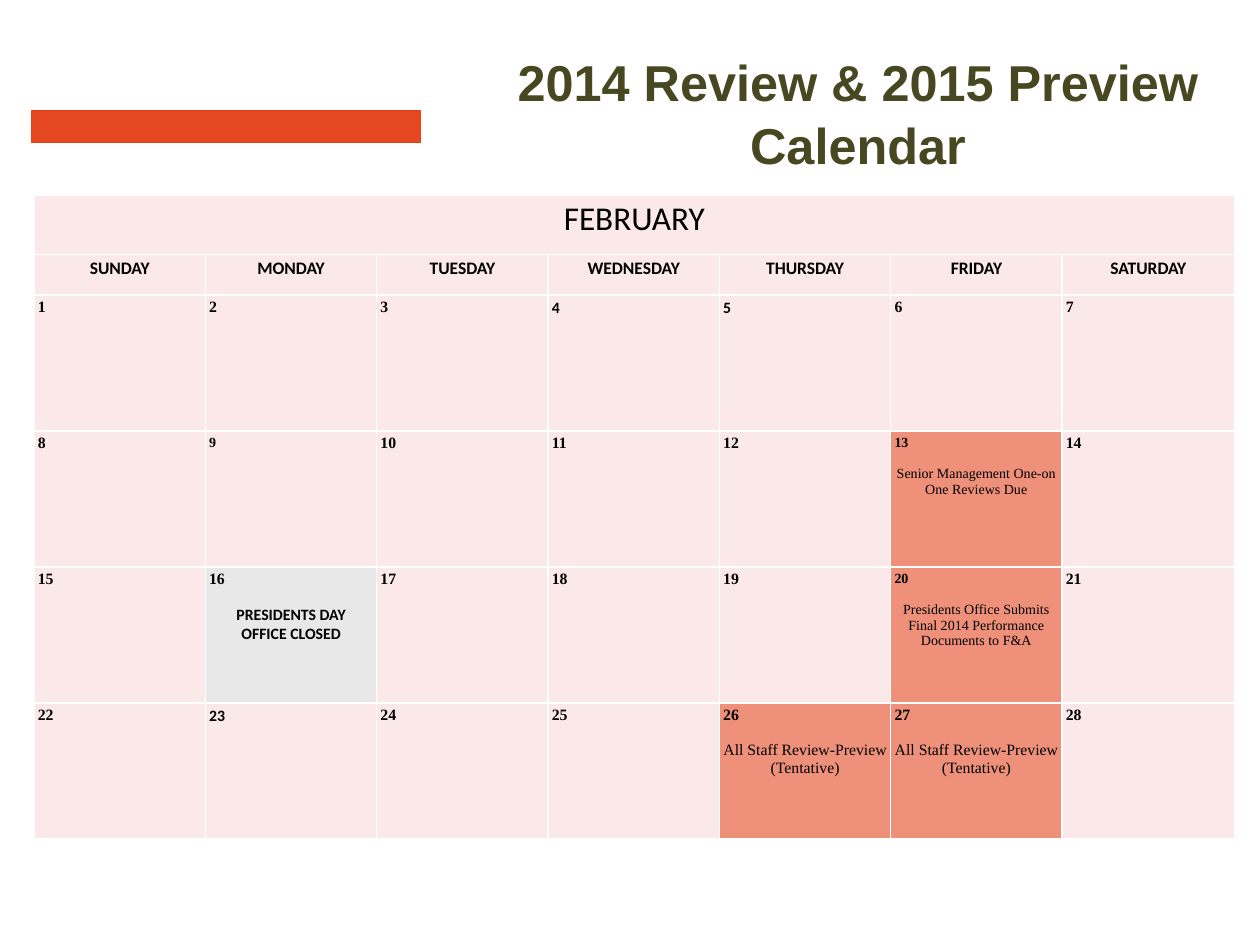
from lxml.etree import SubElement
from pptx import Presentation
from pptx.dml.color import RGBColor
from pptx.enum.shapes import MSO_SHAPE
from pptx.enum.text import MSO_ANCHOR, PP_ALIGN
from pptx.oxml.ns import qn
from pptx.util import Inches, Pt

ORANGE = RGBColor(0xE5, 0x47, 0x21)
ORANGE_EDGE = RGBColor(0xE5, 0x43, 0x1B)
OLIVE = RGBColor(0x47, 0x48, 0x22)
BLACK = RGBColor(0, 0, 0)
WHITE = RGBColor(0xFF, 0xFF, 0xFF)
PINK = RGBColor(0xFA, 0xE9, 0xE8)
SALMON = RGBColor(0xEF, 0x91, 0x7A)
GREY = RGBColor(0xE8, 0xE8, 0xE8)

SERIF, SANS = "Times New Roman", "Calibri"
WEEKDAYS = ["SUNDAY", "MONDAY", "TUESDAY", "WEDNESDAY", "THURSDAY", "FRIDAY", "SATURDAY"]
SANS_DAYS = {4, 5, 23}
SMALL_DAYS = {9, 13, 20}
STAFF_REVIEW = ["All Staff Review-Preview", "(Tentative)"]
EVENTS = {
    13: ["Senior Management One-on One Reviews Due"],
    16: ["PRESIDENTS DAY", "OFFICE CLOSED"],
    20: ["Presidents Office Submits Final 2014 Performance Documents to F&A"],
    26: STAFF_REVIEW,
    27: STAFF_REVIEW,
}
HOLIDAYS = {16}


def write(frame, text, size, font=SERIF, color=BLACK, bold=False,
          align=PP_ALIGN.CENTER, before=0, spacing=None, first=True):
    """Write one formatted paragraph into a text frame."""
    para = frame.paragraphs[0] if first else frame.add_paragraph()
    para.alignment = align
    if before:
        para.space_before = Pt(before)
    if spacing:
        para.line_spacing = spacing
    span = para.add_run()
    span.text = text
    span.font.name, span.font.size, span.font.bold = font, Pt(size), bold
    span.font.color.rgb = color


class CalendarPage:
    """Hold the calendar style and the page being built."""

    def __init__(self, page, margin=0.03, border=1):
        self.page = page
        self.margin = Inches(margin)
        self.border = Pt(border)

    def bar(self, left, top, width, height):
        """Add the accent bar."""
        box = self.page.shapes.add_shape(
            MSO_SHAPE.RECTANGLE, Inches(left), Inches(top), Inches(width), Inches(height))
        box.shadow.inherit = False
        box.fill.solid()
        box.fill.fore_color.rgb = ORANGE
        box.line.color.rgb = ORANGE_EDGE
        box.line.width = Pt(0.75)

    def title(self, text, left, top, width, height):
        """Add the page title."""
        box = self.page.shapes.add_textbox(
            Inches(left), Inches(top), Inches(width), Inches(height))
        frame = box.text_frame
        frame.word_wrap = True
        frame.margin_top = Inches(0.07)
        frame.vertical_anchor = MSO_ANCHOR.TOP
        write(frame, text, 28.8, font="Arial", color=OLIVE, bold=True, spacing=1.05)

    def style_cell(self, cell, fill=PINK):
        """Give a cell its margins, borders and fill."""
        cell.margin_left = cell.margin_right = self.margin
        cell.margin_top = cell.margin_bottom = self.margin
        properties = cell._tc.get_or_add_tcPr()
        for side in ("a:lnL", "a:lnR", "a:lnT", "a:lnB"):
            line = SubElement(properties, qn(side), w=str(self.border))
            paint = SubElement(line, qn("a:solidFill"))
            SubElement(paint, qn("a:srgbClr"), val=str(WHITE))
        cell.fill.solid()
        cell.fill.fore_color.rgb = fill

    def day(self, cell, number):
        """Fill one day with its number and any event."""
        holiday = number in HOLIDAYS
        event = EVENTS.get(number, [])
        self.style_cell(cell, GREY if holiday else SALMON if event else PINK)
        size = 8 if number in SMALL_DAYS else 9
        frame = cell.text_frame
        write(frame, str(number), size, font=SANS if number in SANS_DAYS else SERIF,
              bold=True, align=PP_ALIGN.LEFT)
        for index, text in enumerate(event):
            write(frame, text, size, font=SANS if holiday else SERIF, bold=holiday,
                  before=0 if index else size + 1, first=False)

    def calendar(self, month, left, top, widths, heights):
        """Add the month table."""
        table = self.page.shapes.add_table(
            len(heights), len(widths), Inches(left), Inches(top),
            Inches(sum(widths)), Inches(sum(heights))).table
        table.first_row = table.horz_banding = False
        for column, width in zip(table.columns, widths):
            column.width = Inches(width)
        for row, height in zip(table.rows, heights):
            row.height = Inches(height)
        for column, weekday in enumerate(WEEKDAYS):
            self.style_cell(table.cell(0, column))
            heading = table.cell(1, column)
            self.style_cell(heading)
            write(heading.text_frame, weekday, 10, font=SANS, bold=True)
        heading = table.cell(0, 0)
        heading.merge(table.cell(0, len(widths) - 1))
        write(heading.text_frame, month, 19, font=SANS)
        for index in range(28):
            week, column = divmod(index, 7)
            self.day(table.cell(week + 2, column), index + 1)


def main():
    """Build and save the calendar deck."""
    deck = Presentation()
    deck.slide_width, deck.slide_height = Inches(10), Inches(7.5)
    page = CalendarPage(deck.slides.add_slide(deck.slide_layouts[6]))
    page.bar(0.25, 0.88, 3.09, 0.25)
    page.calendar("FEBRUARY", 0.27, 1.55, [1.36] * 6 + [1.37], [0.47, 0.32] + [1.08] * 4)
    page.title("2014 Review & 2015 Preview Calendar", 3.86, 0.31, 5.9, 0.96)
    deck.save("out.pptx")


if __name__ == "__main__":
    main()
